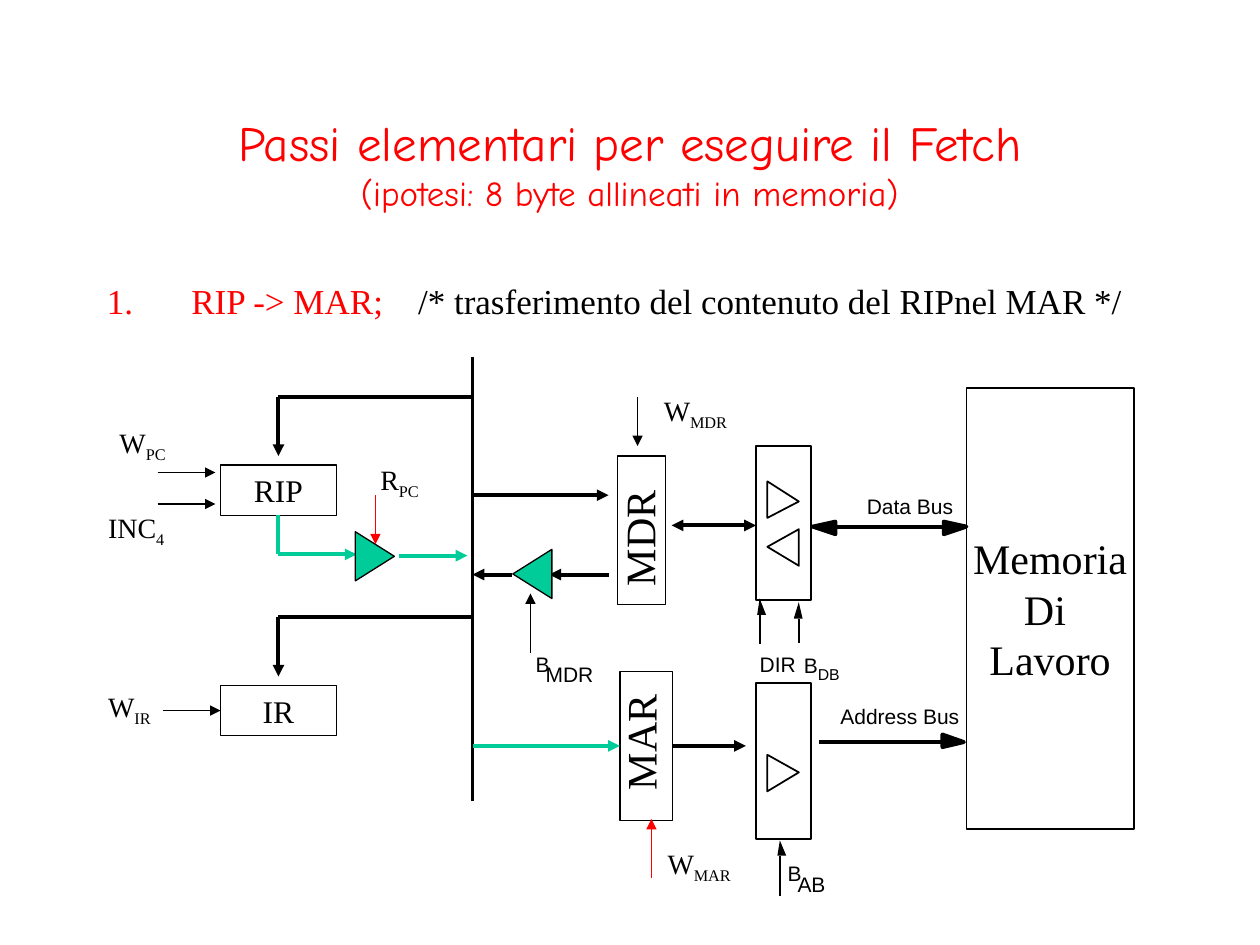
from lxml import etree
from pptx import Presentation
from pptx.dml.color import RGBColor
from pptx.enum.shapes import MSO_CONNECTOR, MSO_SHAPE
from pptx.enum.text import MSO_ANCHOR, PP_ALIGN
from pptx.oxml import parse_xml
from pptx.oxml.ns import nsdecls, qn
from pptx.util import Inches, Pt

BLACK, RED, GREEN, WHITE = "000000", "FF0000", "00CC99", "FFFFFF"
SERIF, SANS, COMIC = "Times New Roman", "Arial", "Comic Neue"
rgb = RGBColor.from_string

prs = Presentation()
prs.slide_width, prs.slide_height = Inches(10), Inches(7.5)
slide = prs.slides.add_slide(prs.slide_layouts[6])
shapes = slide.shapes


def label(x, y, w, h, text, size, font, subscript="", inset=True):
    """Add a one-line label, with an optional subscript."""
    box = shapes.add_textbox(Inches(x), Inches(y), Inches(w), Inches(h))
    frame = box.text_frame
    frame.word_wrap = True
    if not inset:
        frame.margin_left = frame.margin_right = 0
        frame.margin_top = frame.margin_bottom = 0
    paragraph = frame.paragraphs[0]
    paragraph.text = text
    if subscript:
        lowered = paragraph.add_run()
        lowered.text = subscript
        lowered.font._element.set("baseline", "-25000")
    for run in paragraph.runs:
        run.font.size, run.font.name = Pt(size), font
        run.font.color.rgb = rgb(BLACK)
    return box


def wire(x1, y1, x2, y2, width=2.25, color=BLACK, ends=("tailEnd",)):
    """Add a straight line; tailEnd puts the arrowhead at its second point."""
    line = shapes.add_connector(
        MSO_CONNECTOR.STRAIGHT, Inches(x1), Inches(y1), Inches(x2), Inches(y2))
    line.line.width = Pt(width)
    line.line.color.rgb = rgb(color)
    for end in ends:
        etree.SubElement(line.line._get_or_add_ln(), qn(f"a:{end}"), type="triangle")
    etree.SubElement(line._element.spPr, qn("a:effectLst"))
    return line


# Title
title = shapes.add_textbox(Inches(0.75), Inches(0.67), Inches(8.5), Inches(1.25))
title.text_frame.word_wrap = True
title.text_frame.vertical_anchor = MSO_ANCHOR.MIDDLE
heading = title.text_frame.paragraphs[0]
heading.text = ("Passi elementari per eseguire il Fetch\v"
                "(ipotesi: 8 byte allineati in memoria)")
heading.alignment = PP_ALIGN.CENTER
for run, size in zip(heading.runs, (28, 20)):
    run.font.size, run.font.name = Pt(size), COMIC
    run.font.color.rgb = rgb(RED)

# Numbered step, with a tab before the comment
step_box = shapes.add_textbox(Inches(0.75), Inches(2.17), Inches(8.5), Inches(0.5))
step_box.text_frame.word_wrap = True
step = step_box.text_frame.paragraphs[0]
step.text = "RIP -> MAR;"
step.add_run().text = "\t/* trasferimento del contenuto del RIPnel MAR */"
step.alignment = PP_ALIGN.LEFT
step_format = step._p.get_or_add_pPr()
step_format.set("marL", str(Inches(0.67)))
step_format.set("indent", str(-Inches(0.67)))
for xml in (
    f'<a:buClr {nsdecls("a")}><a:srgbClr val="{RED}"/></a:buClr>',
    f'<a:buFont {nsdecls("a")} typeface="{SERIF}"/>',
    f'<a:buAutoNum {nsdecls("a")} type="arabicPeriod"/>',
    f'<a:tabLst {nsdecls("a")}><a:tab pos="{Inches(2.47)}" algn="l"/></a:tabLst>',
):
    step_format.append(parse_xml(xml))
for run, color in zip(step.runs, (RED, BLACK)):
    run.font.size, run.font.name = Pt(20), SERIF
    run.font.color.rgb = rgb(color)

# Registers, bus buffers and memory
blocks = {}
for name, x, y, w, h, fill, weight, text, size in (
    ("MDR", 4.9, 3.62, 0.38, 1.18, None, 0.75, "", 0),
    ("MAR", 4.92, 5.33, 0.42, 1.18, None, 0.75, "", 0),
    ("memory", 7.67, 3.08, 1.33, 3.5, None, 0.75, "Memoria\nDi \nLavoro", 24),
    ("RIP", 1.75, 3.69, 0.92, 0.4, WHITE, 0.75, "RIP", 18),
    ("IR", 1.75, 5.44, 0.92, 0.4, WHITE, 0.75, "IR", 18),
    ("data buffer", 6, 3.54, 0.44, 1.22, None, 1, "", 0),
    ("address buffer", 6, 5.42, 0.44, 1.24, None, 1, "", 0),
):
    block = blocks[name] = shapes.add_shape(
        MSO_SHAPE.RECTANGLE, Inches(x), Inches(y), Inches(w), Inches(h))
    block.shadow.inherit = False
    if fill:
        block.fill.solid()
        block.fill.fore_color.rgb = rgb(fill)
    else:
        block.fill.background()
    block.line.width = Pt(weight)
    block.line.color.rgb = rgb(BLACK)
    if text:
        frame = block.text_frame
        frame.word_wrap = False
        frame.vertical_anchor = MSO_ANCHOR.MIDDLE
        frame.text = text
        for paragraph in frame.paragraphs:
            paragraph.alignment = PP_ALIGN.CENTER
            for run in paragraph.runs:
                run.font.size, run.font.name = Pt(size), SERIF
                run.font.color.rgb = rgb(BLACK)

# Register names set upright
for x, y, name in ((4.54, 3.97, "MDR"), (4.55, 5.59, "MAR")):
    label(x, y, 1.06, 0.5, name, 24, SERIF).rotation = 270

# Internal bus and its branches to RIP and IR
wire(3.75, 2.83, 3.75, 6.36, ends=())
for y in (3.15, 4.9):
    wire(2.21, y, 3.75, y, ends=())
    wire(2.21, y, 2.21, y + 0.47)

# Data paths
wire(5.33, 4.17, 6, 4.17, ends=("headEnd", "tailEnd"))
wire(3.75, 3.93, 4.83, 3.93)
wire(4.83, 4.56, 4.36, 4.56)
wire(4.06, 4.56, 3.75, 4.56)
wire(5.34, 5.92, 5.92, 5.92).begin_connect(blocks["MAR"], 3)
wire(6.63, 4.18, 7.49, 4.18, ends=())
wire(6.5, 5.89, 7.48, 5.89, ends=())

# Active path from RIP to MAR
wire(2.21, 4.09, 2.21, 4.4, color=GREEN, ends=()).begin_connect(blocks["RIP"], 2)
wire(2.21, 4.4, 2.83, 4.4, color=GREEN)
wire(3.17, 4.41, 3.71, 4.41, color=GREEN)
wire(3.75, 5.92, 4.92, 5.92, color=GREEN).end_connect(blocks["MAR"], 1)

# Tri-state gates
for x, y, turn in ((4.03, 4.4, 270), (2.78, 4.26, 90)):
    gate = shapes.add_shape(
        MSO_SHAPE.ISOSCELES_TRIANGLE, Inches(x), Inches(y), Inches(0.39), Inches(0.31))
    gate.rotation = turn
    gate.shadow.inherit = False
    gate.fill.solid()
    gate.fill.fore_color.rgb = rgb(GREEN)
    gate.line.width = Pt(0.75)
    gate.line.color.rgb = rgb(BLACK)

# Control signals
for x1, y1, x2, y2, color in (
    (5.17, 6.97, 5.17, 6.5, RED),
    (5.06, 3.15, 5.06, 3.54, BLACK),
    (2.98, 3.93, 2.98, 4.32, RED),
    (1.25, 3.75, 1.71, 3.75, BLACK),
    (1.25, 4, 1.71, 4, BLACK),
    (4.21, 5.18, 4.21, 4.71, BLACK),
):
    wire(x1, y1, x2, y2, 0.75, color)
wire(1.29, 5.64, 1.75, 5.64, 0.75).end_connect(blocks["IR"], 1)
for x, top, bottom in ((6.19, 6.79, 7.11), (6.03, 4.88, 5.11), (6.34, 4.91, 5.1)):
    wire(x, top, x, bottom, 1, ends=())

# Buffer direction triangles, then bus and control arrowheads
for points, fill, weight in (
    (((6.09, 3.82), (6.09, 4.11), (6.34, 3.98)), None, 1),
    (((6.34, 4.49), (6.34, 4.2), (6.09, 4.34)), None, 1),
    (((6.09, 5.99), (6.09, 6.28), (6.34, 6.13)), None, 1),
    (((6.45, 4.18), (6.63, 4.14), (6.63, 4.24)), BLACK, 2.25),
    (((7.67, 4.18), (7.49, 4.24), (7.49, 4.14)), BLACK, 2.25),
    (((7.65, 5.89), (7.48, 5.93), (7.48, 5.83)), BLACK, 2.25),
    (((6.19, 6.67), (6.24, 6.79), (6.17, 6.79)), BLACK, 0),
    (((6.03, 4.75), (6.08, 4.88), (6.01, 4.88)), BLACK, 0),
    (((6.34, 4.78), (6.37, 4.91), (6.3, 4.91)), BLACK, 0),
):
    start, *rest = [(Inches(x), Inches(y)) for x, y in points]
    builder = shapes.build_freeform(*start)
    builder.add_line_segments(rest, close=True)
    triangle = builder.convert_to_shape()
    triangle.shadow.inherit = False
    if fill:
        triangle.fill.solid()
        triangle.fill.fore_color.rgb = rgb(fill)
    else:
        triangle.fill.background()
    if weight:
        triangle.line.width = Pt(weight)
        triangle.line.color.rgb = rgb(BLACK)
    else:
        triangle.line.fill.background()

# Signal names with subscripts
for x, y, w, name, subscript in (
    (5.2, 6.67, 0.8, "W", "MAR"), (5.17, 3.07, 0.8, "W", "MDR"),
    (2.92, 3.62, 0.6, "R", "PC"), (0.76, 5.42, 0.64, "W", "IR"),
    (0.85, 3.33, 0.66, "W", "PC"), (0.76, 4, 0.74, "INC", "4"),
):
    label(x, y, w, 0.41, name, 16, SERIF, subscript)

# Bus and buffer names
for x, y, w, name, size in (
    (6.67, 5.58, 1, "Address Bus", 12), (6.88, 3.92, 0.75, "Data Bus", 12),
    (6.03, 5.17, 0.34, "DIR", 12),
    (6.38, 5.18, 0.15, "B", 12), (6.49, 5.28, 0.25, "DB", 9),
    (6.25, 6.83, 0.15, "B", 12), (6.33, 6.92, 0.3, "AB", 12),
    (4.25, 5.17, 0.15, "B", 12), (4.33, 5.25, 0.45, "MDR", 12),
):
    label(x, y, w, 0.2, name, size, SANS, inset=False)

prs.save("out.pptx")
